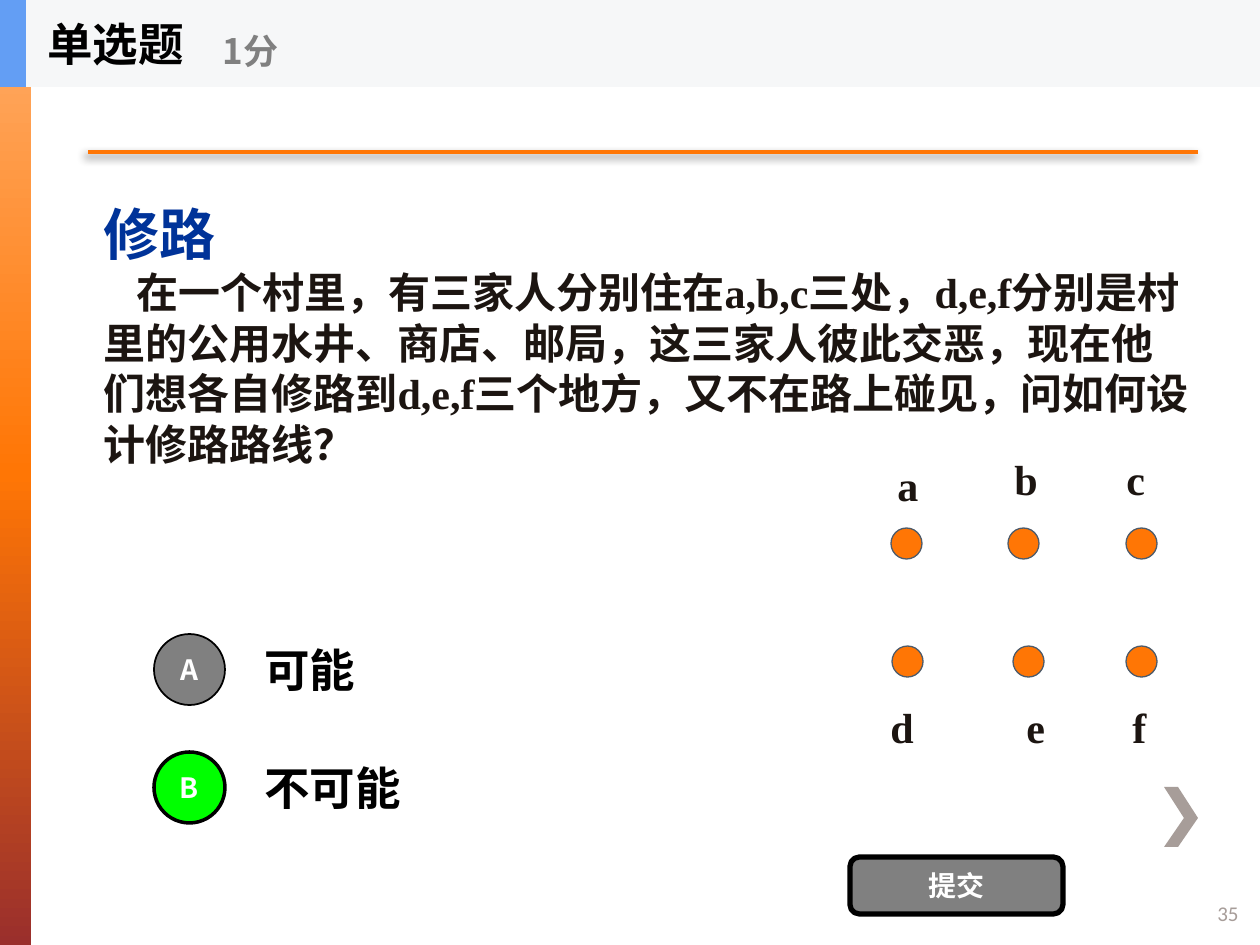
from copy import deepcopy

from lxml.etree import SubElement
from pptx import Presentation
from pptx.dml.color import RGBColor
from pptx.enum.shapes import MSO_CONNECTOR, MSO_SHAPE
from pptx.enum.text import MSO_ANCHOR, MSO_AUTO_SIZE, PP_ALIGN
from pptx.oxml.ns import qn
from pptx.util import Pt

SCALE = 914400 / 126

ORANGE = RGBColor(0xFF, 0x76, 0x05)
PEACH = RGBColor(0xFF, 0xAD, 0x69)
BRICK = RGBColor(0x9A, 0x2F, 0x2C)
TAUPE = RGBColor(0xA7, 0x9D, 0x99)
NAVY = RGBColor(0x00, 0x33, 0x99)
INK = RGBColor(0x1C, 0x15, 0x11)
SLATE = RGBColor(0x4D, 0x5B, 0x6B)
BLACK = RGBColor(0, 0, 0)
WHITE = RGBColor(0xFF, 0xFF, 0xFF)
GREY = RGBColor(0x80, 0x80, 0x80)
GREEN = RGBColor(0x00, 0xFF, 0x00)
PALE = RGBColor(0xF6, 0xF7, 0xF8)
BLUE = RGBColor(0x63, 0x9E, 0xF4)

HAN = "Noto Sans CJK SC"
SERIF = "Times New Roman"


def px(count):
    return round(count * SCALE)


class Page:
    def __init__(self, deck):
        self.slide = deck.slides.add_slide(deck.slide_layouts[5])
        self.shapes = self.slide.shapes

    def run(self, para, text, size, color, font=HAN, bold=True):
        run = para.add_run()
        run.text = text
        run.font.size = Pt(size)
        run.font.bold = bold
        run.font.color.rgb = color
        run.font.name = font
        SubElement(run.font._element, qn("a:ea"), typeface=HAN)

    def place(self, shape, x, y, w, h):
        shape.left, shape.top, shape.width, shape.height = map(px, (x, y, w, h))

    def title(self, box, head, body, indent):
        shape = self.shapes.title
        self.place(shape, *box)
        frame = shape.text_frame
        frame.auto_size = MSO_AUTO_SIZE.NONE
        frame.word_wrap = True
        frame.vertical_anchor = MSO_ANCHOR.MIDDLE
        first, second = frame.paragraphs[0], frame.add_paragraph()
        first.alignment = second.alignment = PP_ALIGN.LEFT
        second._p.get_or_add_pPr().set("indent", str(px(indent)))
        self.run(first, head, 32, NAVY, "Arial")
        self.run(second, body, 24, INK, SERIF)

    def text(self, box, text, size, color, font=HAN, bold=True):
        frame = self.shapes.add_textbox(*map(px, box)).text_frame
        frame.word_wrap = True
        frame.vertical_anchor = MSO_ANCHOR.MIDDLE
        self.run(frame.paragraphs[0], text, size, color, font, bold)
        return frame

    def label(self, x, y, text):
        frame = self.text((x, y, 43, 63), text, 24, INK, SERIF)
        frame.vertical_anchor = MSO_ANCHOR.TOP
        frame.margin_top = px(13)

    def paint(self, shape, fill, edge=None, width=0):
        shape.shadow.inherit = False
        shape.fill.solid()
        shape.fill.fore_color.rgb = fill
        if edge is None:
            shape.line.fill.background()
        else:
            shape.line.color.rgb = edge
            shape.line.width = Pt(width)

    def shape(self, kind, box, fill, edge=None, width=0, text=None):
        shape = self.shapes.add_shape(kind, *map(px, box))
        self.paint(shape, fill, edge, width)
        if text:
            frame = shape.text_frame
            frame.margin_left = frame.margin_right = 0
            frame.vertical_anchor = MSO_ANCHOR.MIDDLE
            para = frame.paragraphs[0]
            para.alignment = PP_ALIGN.CENTER
            self.run(para, text, 16, WHITE)
        return shape

    def blend(self, box, stops):
        shape = self.shape(MSO_SHAPE.RECTANGLE, box, WHITE)
        shape.fill.gradient()
        shape.fill.gradient_angle = 270
        marks = shape._element.spPr.find(".//" + qn("a:gsLst"))
        for _ in range(len(stops) - len(marks)):
            marks.append(deepcopy(marks[0]))
        for stop, (spot, color) in zip(shape.fill.gradient_stops, stops):
            stop.position = spot
            stop.color.rgb = color

    def rule(self, x, y, end):
        line = self.shapes.add_connector(
            MSO_CONNECTOR.STRAIGHT, px(x), px(y), px(end), px(y))
        line.line.color.rgb = ORANGE
        line.line.width = Pt(2.5)
        effects = SubElement(line._element.spPr, qn("a:effectLst"))
        shade = SubElement(
            effects, qn("a:outerShdw"), blurRad=str(Pt(5)), dist=str(Pt(3)),
            dir=str(135 * 60000), algn="ctr", rotWithShape="0")
        color = SubElement(shade, qn("a:srgbClr"), val=str(BLACK))
        SubElement(color, qn("a:alpha"), val="45000")

    def arrow(self, points, fill):
        start, *rest = points
        pen = self.shapes.build_freeform(*start, scale=SCALE)
        pen.add_line_segments(rest, close=True)
        self.paint(pen.convert_to_shape(), fill)


def main():
    deck = Presentation()
    deck.slide_width, deck.slide_height = px(1260), px(945)
    page = Page(deck)

    page.blend((0, 0, 31, 945), [(0, PEACH), (0.5, ORANGE), (1, BRICK)])
    page.arrow([(1178, 787), (1164, 787), (1184, 818),
                (1164, 847), (1178, 847), (1198, 818)], TAUPE)
    page.rule(88, 152, 1198)
    page.text((1205, 888, 53, 50), "35", 12, TAUPE, "Calibri", False)
    page.title(
        (91, 181, 1114, 306), "修路",
        "在一个村里，有三家人分别住在a,b,c三处，d,e,f分别是村里的公用水井、"
        "商店、邮局，这三家人彼此交恶，现在他们想各自修路到d,e,f三个地方，"
        "又不在路上碰见，问如何设计修路路线？", 33)

    choices = [("A", "可能", GREY, 1), ("B", "不可能", GREEN, 2)]
    for row, (mark, answer, fill, width) in enumerate(choices):
        drop = 118 * row
        page.text((252, 625 + drop, 882, 88), answer, 26, BLACK)
        page.shape(MSO_SHAPE.OVAL, (154, 634 + drop, 71, 71),
                   fill, BLACK, width, mark)
    page.shape(MSO_SHAPE.ROUNDED_RECTANGLE, (850, 857, 213, 57),
               GREY, BLACK, 3, "提交")

    nodes = [("a", 891, 528, 885, 447), ("b", 1008, 528, 1002, 441),
             ("c", 1126, 528, 1114, 441), ("d", 892, 646, 878, 689),
             ("e", 1013, 646, 1014, 689), ("f", 1126, 646, 1120, 689)]
    for name, x, y, left, top in nodes:
        page.shape(MSO_SHAPE.OVAL, (x, y, 31, 31), ORANGE, SLATE, 0.75)
        page.label(left, top, name)

    page.shape(MSO_SHAPE.RECTANGLE, (0, 0, 1260, 87), PALE)
    page.shape(MSO_SHAPE.RECTANGLE, (0, 0, 26, 87), BLUE)
    page.text((35, 0, 262, 87), "单选题", 26, BLACK)
    page.text((210, 15, 315, 71), "1分", 20, GREY)

    deck.save("out.pptx")


if __name__ == "__main__":
    main()
